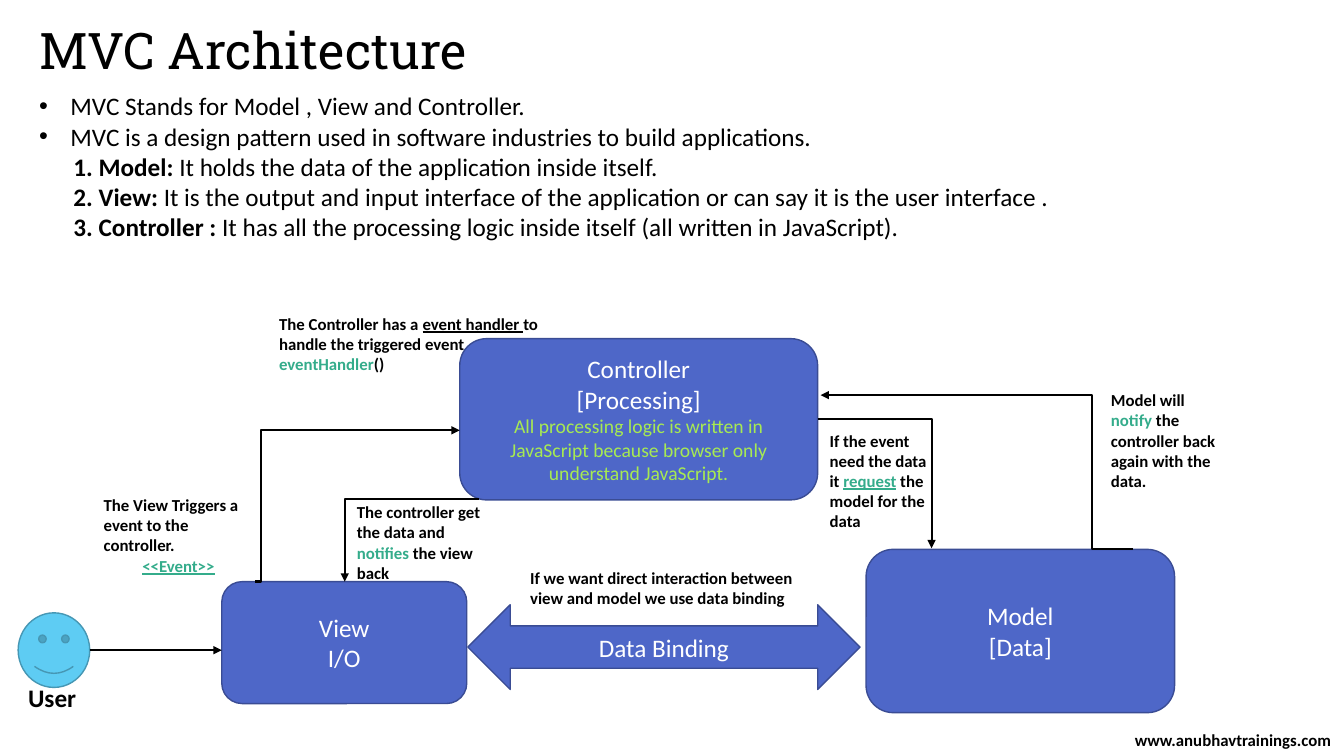
"""Build the MVC Architecture slide with its flow diagram."""
import pptx
import pptx.dml.color
import pptx.enum.dml
import pptx.enum.shapes
import pptx.enum.text
import pptx.oxml.ns
import pptx.util
from lxml import etree

Inches = pptx.util.Inches
Pt = pptx.util.Pt
qn = pptx.oxml.ns.qn
ALIGN = pptx.enum.text.PP_ALIGN
ANCHOR = pptx.enum.text.MSO_ANCHOR
SHAPE = pptx.enum.shapes.MSO_SHAPE
CONNECTOR = pptx.enum.shapes.MSO_CONNECTOR
color = pptx.dml.color.RGBColor.from_string
BLACK, WHITE, GREEN, LIME = "000000", "FFFFFF", "34AC8B", "A7EA52"
BLUE, NAVY, SKY, TEAL = "4E67C8", "3A4C94", "5ECCF3", "4697B4"

presentation = pptx.Presentation()
presentation.slide_width = Inches(13.33)
presentation.slide_height = Inches(7.5)
slide = presentation.slides.add_slide(presentation.slide_layouts[6])


def add_text(place, anchor=ANCHOR.TOP):
    frame = slide.shapes.add_textbox(*map(Inches, place)).text_frame
    frame.word_wrap = True
    frame.vertical_anchor = anchor
    return frame


def style(paragraph, size, text_color, bold=False, align=ALIGN.LEFT, name="Calibri"):
    paragraph.alignment = align
    paragraph.font.size = Pt(size)
    paragraph.font.name = name
    paragraph.font.bold = bold
    paragraph.font.color.rgb = color(text_color)


title = add_text((0.29, 0.21, 12.21, 0.65)).paragraphs[0]
title.text = "MVC Architecture"
title.line_spacing = 0.9
style(title, 36, BLACK, name="Roboto Slab")

body = add_text((0.29, 0.85, 12.21, 1.62))
body_lines = [
    ("", "MVC Stands for Model , View and Controller."),
    ("", "MVC is a design pattern used in software industries to build applications."),
    ("1. Model: ", "It holds the data of the application inside itself."),
    ("2. View: ", "It is the output and input interface of the application "
                 "or can say it is the user interface ."),
    ("3. Controller : ", "It has all the processing logic inside itself "
                         "(all written in JavaScript)."),
]
for index, (term, description) in enumerate(body_lines):
    paragraph = body.add_paragraph() if index else body.paragraphs[0]
    properties = paragraph._p.get_or_add_pPr()
    if term:
        properties.set("marL", str(Inches(0.34)))
        run = paragraph.add_run()
        run.text = term
        run.font.bold = True
    else:
        properties.set("marL", str(Inches(0.31)))
        properties.set("indent", str(Inches(-0.31)))
        etree.SubElement(properties, qn("a:buFont"), typeface="Arial")
        etree.SubElement(properties, qn("a:buChar"), char="•")
    paragraph.add_run().text = description
    style(paragraph, 18, BLACK, align=ALIGN.JUSTIFY)

website = add_text((11.13, 7.26, 2.2, 0.16), ANCHOR.MIDDLE).paragraphs[0]
website.text = "www.anubhavtrainings.com"
style(website, 12, BLACK, True, ALIGN.CENTER)

blocks = [
    (SHAPE.ROUNDED_RECTANGLE, (4.56, 3.36, 3.55, 1.6), BLUE, NAVY, [
        ("Controller", 18, WHITE), ("[Processing]", 18, WHITE),
        ("All processing logic is written in JavaScript because browser only "
         "understand JavaScript.", 14, LIME)]),
    (SHAPE.ROUNDED_RECTANGLE, (2.2, 5.77, 2.43, 1.21), BLUE, NAVY,
     [("View", 18, WHITE), ("I/O", 18, WHITE)]),
    (SHAPE.ROUNDED_RECTANGLE, (8.59, 5.45, 3.06, 1.62), BLUE, NAVY,
     [("Model", 18, WHITE), ("[Data]", 18, WHITE)]),
    (SHAPE.LEFT_RIGHT_ARROW, (4.64, 6, 3.89, 0.84), BLUE, NAVY,
     [("Data Binding", 18, WHITE)]),
    (SHAPE.SMILEY_FACE, (0.18, 6.08, 0.71, 0.74), SKY, TEAL, []),
]
for kind, place, fill, outline, lines in blocks:
    shape = slide.shapes.add_shape(kind, *map(Inches, place))
    shape.shadow.inherit = False
    shape.fill.solid()
    shape.fill.fore_color.rgb = color(fill)
    shape.line.color.rgb = color(outline)
    shape.line.width = Pt(1)
    frame = shape.text_frame
    frame.word_wrap = True
    frame.vertical_anchor = ANCHOR.MIDDLE
    for index, (text, size, text_color) in enumerate(lines):
        paragraph = frame.add_paragraph() if index else frame.paragraphs[0]
        paragraph.text = text
        style(paragraph, size, text_color, align=ALIGN.CENTER)

arrows = [
    ("line", (0.89, 6.45, 2.2, 6.45), None),
    ("bentConnector3", (2.53, 5.77, 4.56, 4.27), 2800),
    ("bentConnector3", (11.24, 5.45, 8.14, 3.92), 13100),
    ("bentConnector2", (8.11, 4.16, 9.24, 5.44), None),
    ("bentConnector2", (4.75, 4.95, 3.42, 5.77), None),
]
for preset, ends, bend in arrows:
    kind = CONNECTOR.STRAIGHT if preset == "line" else CONNECTOR.ELBOW
    connector = slide.shapes.add_connector(kind, *map(Inches, ends))
    connector.line.color.rgb = color(BLACK)
    connector.line.width = Pt(1.5)
    properties = connector._element.spPr
    geometry = properties.find(qn("a:prstGeom"))
    geometry.set("prst", preset)
    if bend:
        etree.SubElement(geometry.find(qn("a:avLst")), qn("a:gd"),
                         name="adj1", fmla=f"val {bend}")
    etree.SubElement(properties.find(qn("a:ln")), qn("a:tailEnd"), type="triangle")
    etree.SubElement(properties, qn("a:effectLst"))

labels = [
    ((0.93, 4.86, 1.68, 1.11), 12, [
        (ALIGN.LEFT, [("The View Triggers a event to the controller.", BLACK, False)]),
        (ALIGN.CENTER, [("<<Event>>", GREEN, True)])]),
    ((2.67, 3.06, 3.23, 0.71), 12, [
        (ALIGN.LEFT, [("The Controller has a ", BLACK, False),
                      ("event handler ", BLACK, True),
                      ("to handle the triggered event", BLACK, False)]),
        (ALIGN.LEFT, [("eventHandler", GREEN, False), ("()", BLACK, False)])]),
    ((8.13, 4.22, 1.28, 1.11), 12, [
        (ALIGN.LEFT, [("If the event need the data it ", BLACK, False),
                      ("request", GREEN, True),
                      (" the model for the data", BLACK, False)])]),
    ((10.92, 3.82, 1.31, 1.11), 12, [
        (ALIGN.LEFT, [("Model will ", BLACK, False), ("notify", GREEN, False),
                      (" the controller back again with the data.", BLACK, False)])]),
    ((3.44, 4.93, 1.58, 0.91), 12, [
        (ALIGN.LEFT, [("The controller get the data and ", BLACK, False),
                      ("notifies", GREEN, False), (" the view back", BLACK, False)])]),
    ((5.16, 5.58, 3.06, 0.5), 12, [
        (ALIGN.LEFT, [("If we want direct interaction between view and model "
                       "we use data binding", BLACK, False)])]),
    ((0.18, 6.72, 0.81, 0.4), 18, [(ALIGN.LEFT, [("User", BLACK, False)])]),
]
for place, size, paragraphs in labels:
    frame = add_text(place)
    for index, (align, runs) in enumerate(paragraphs):
        paragraph = frame.add_paragraph() if index else frame.paragraphs[0]
        style(paragraph, size, BLACK, True, align)
        for text, text_color, underlined in runs:
            run = paragraph.add_run()
            run.text = text
            if text_color != BLACK:
                run.font.color.rgb = color(text_color)
            if underlined:
                run.font.underline = True

presentation.save("out.pptx")
